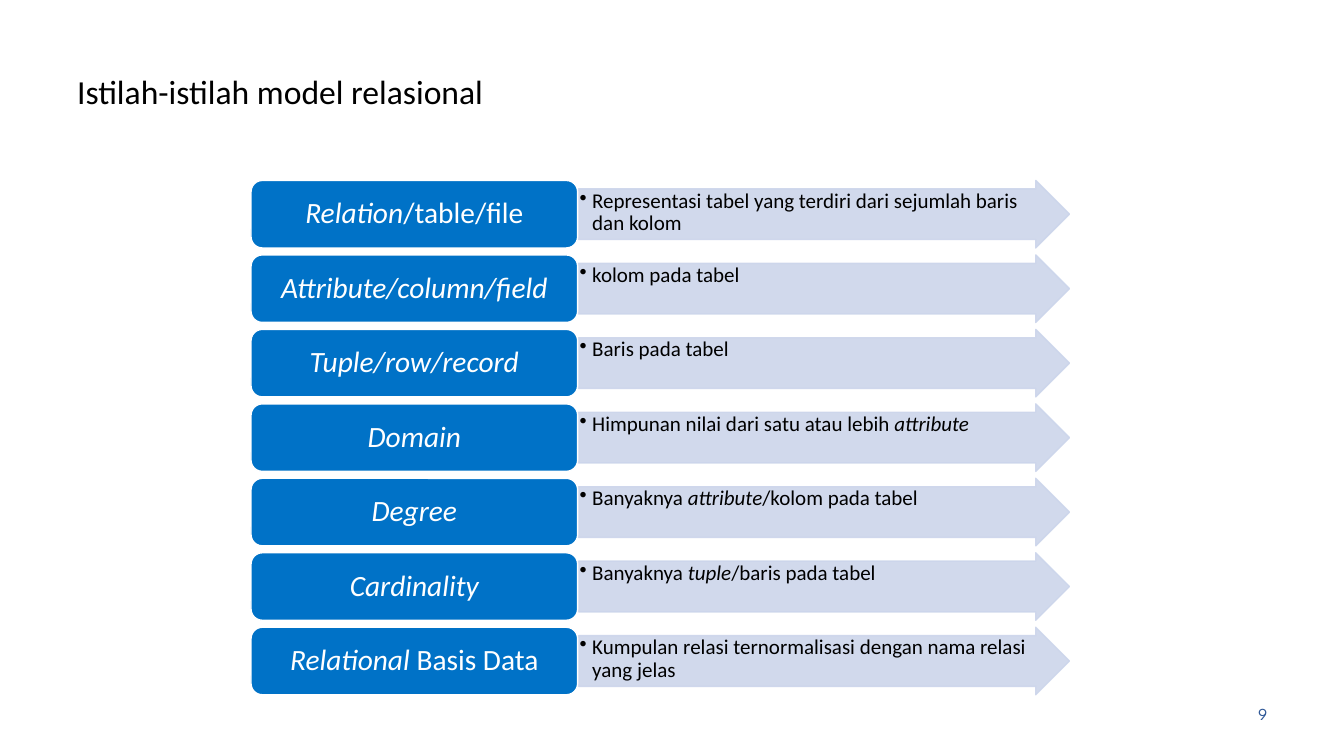
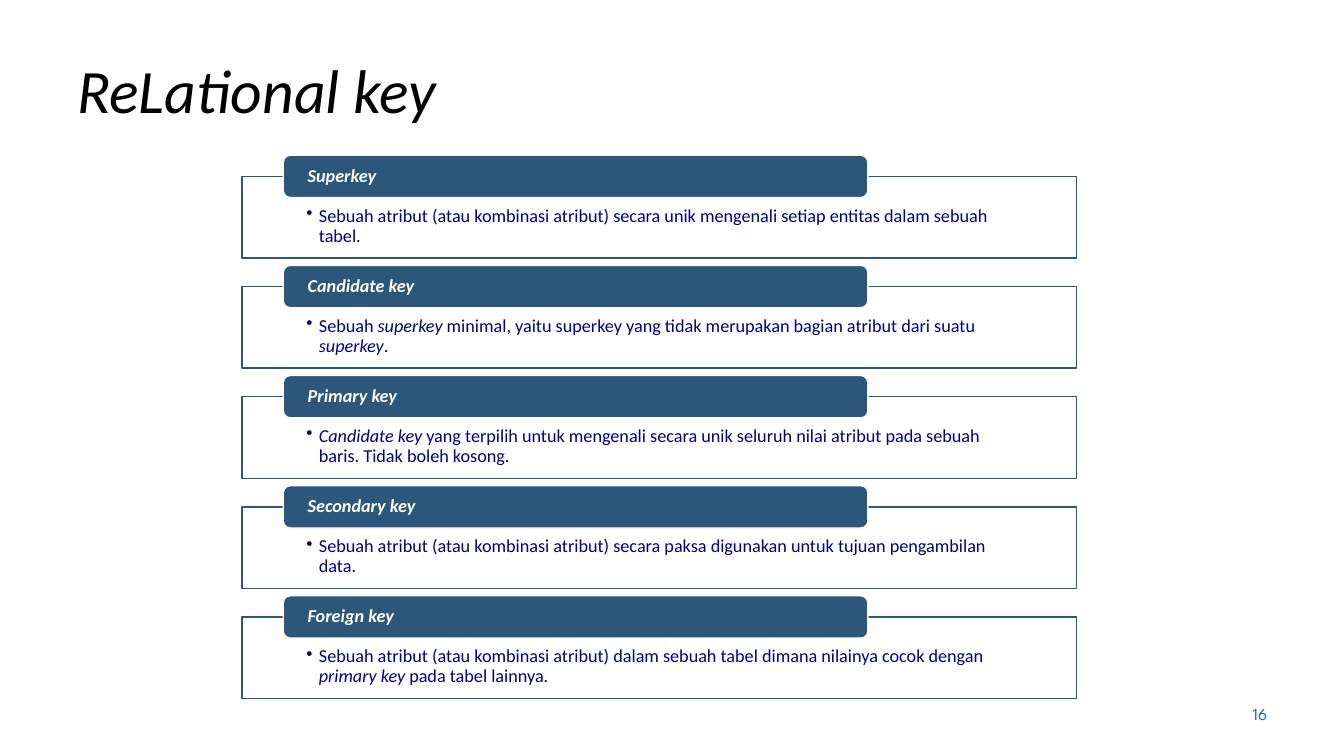
from pptx import Presentation
from pptx.dml.color import RGBColor
from pptx.enum.shapes import MSO_SHAPE as Shape
from pptx.enum.text import MSO_ANCHOR as Anchor, PP_ALIGN as Align
from pptx.oxml.ns import qn
from pptx.oxml.xmlchemy import OxmlElement
from pptx.util import Inches, Pt

BLACK = RGBColor(0x00, 0x00, 0x00)
WHITE = RGBColor(0xFF, 0xFF, 0xFF)
BLUE = RGBColor(0x00, 0x72, 0xC7)
PALE_BLUE = RGBColor(0xCC, 0xD5, 0xEB)
STEEL = RGBColor(0x2C, 0x56, 0x7A)
NAVY = RGBColor(0x00, 0x00, 0x80)
NUMBER_BLUE = RGBColor(0x2F, 0x58, 0x97)

BODY_FONT = "Calibri"
NUMBER_FONT = "League Spartan"
TITLE_AT = (5, 4, 90, 16.67)
NUMBER_AT = (71.7, 91.07, 23.33, 6.93)
BULLET_INDENT = Pt(9)

# Asterisks enclose italic words.
TERMS = [
    ("*Relation*/table/file",
     "Representasi tabel yang terdiri dari sejumlah baris dan kolom"),
    ("*Attribute/column/field*", "kolom pada tabel"),
    ("*Tuple/row/record*", "Baris pada tabel"),
    ("*Domain*", "Himpunan nilai dari satu atau lebih *attribute*"),
    ("*Degree*", "Banyaknya *attribute*/kolom pada tabel"),
    ("*Cardinality*", "Banyaknya *tuple*/baris pada tabel"),
    ("*Relational *Basis Data",
     "Kumpulan relasi ternormalisasi dengan nama relasi yang jelas"),
]
KEYS = [
    ("*Superkey*",
     "Sebuah atribut (atau kombinasi atribut) secara unik mengenali setiap "
     "entitas dalam sebuah tabel."),
    ("*Candidate key*",
     "Sebuah *superkey* minimal, yaitu superkey yang tidak merupakan bagian "
     "atribut dari suatu *superkey*."),
    ("*Primary key*",
     "*Candidate key* yang terpilih untuk mengenali secara unik seluruh nilai "
     "atribut pada sebuah baris. Tidak boleh kosong."),
    ("*Secondary key*",
     "Sebuah atribut (atau kombinasi atribut) secara paksa digunakan untuk "
     "tujuan pengambilan data."),
    ("*Foreign key*",
     "Sebuah atribut (atau kombinasi atribut) dalam sebuah tabel dimana "
     "nilainya cocok dengan *primary key *pada tabel lainnya."),
]


class Deck:
    """Shared style and current slide; places are percentages of the slide."""

    def __init__(self):
        self.prs = Presentation()
        self.prs.slide_width, self.prs.slide_height = Inches(13.33), Inches(7.5)
        self.s = None

    def slide(self, title, size, number):
        self.s = self.prs.slides.add_slide(self.prs.slide_layouts[6])
        self.label(TITLE_AT, title, size, BLACK)
        self.label(NUMBER_AT, number, 12, NUMBER_BLUE,
                   font=NUMBER_FONT, align=Align.RIGHT)

    def place(self, at):
        w, h = self.prs.slide_width, self.prs.slide_height
        return [int(total * share / 100) for total, share in zip((w, h, w, h), at)]

    def label(self, at, text, size, color, **style):
        sp = self.s.shapes.add_textbox(*self.place(at))
        self.set_text(sp, text, size, color, **style)

    def shape(self, kind, at, fill, line):
        sp = self.s.shapes.add_shape(kind, *self.place(at))
        sp.shadow.inherit = False
        sp.fill.solid()
        sp.fill.fore_color.rgb = fill
        sp.line.color.rgb = line
        sp.line.width = Pt(1)
        return sp

    def arrow(self, at):
        sp = self.shape(Shape.RIGHT_ARROW, at, PALE_BLUE, PALE_BLUE)
        sp.adjustments[0], sp.adjustments[1] = 0.75, 0.5
        for color in sp._element.spPr.iter(qn("a:srgbClr")):
            alpha = OxmlElement("a:alpha")
            alpha.set("val", "90000")
            color.append(alpha)
        return sp

    def set_text(self, sp, text, size, color, font=BODY_FONT, bold=False,
                 align=Align.LEFT, anchor=Anchor.MIDDLE, insets=None, bullet=False):
        """Fill a shape with one paragraph; insets are points from the left."""
        tf = sp.text_frame
        tf.word_wrap = True
        tf.vertical_anchor = anchor
        if insets:
            (tf.margin_left, tf.margin_top,
             tf.margin_right, tf.margin_bottom) = map(Pt, insets)
        p = tf.paragraphs[0]
        p.alignment = align
        p.line_spacing = 0.9
        if bullet:
            pPr = p._p.get_or_add_pPr()
            pPr.set("marL", str(BULLET_INDENT))
            pPr.set("indent", str(-BULLET_INDENT))
            mark = OxmlElement("a:buChar")
            mark.set("char", "•")
            pPr.append(mark)
        for i, part in enumerate(text.split("*")):
            if part:
                r = p.add_run()
                r.text = part
                r.font.name, r.font.size = font, Pt(size)
                r.font.bold, r.font.italic = bold, i % 2 == 1
                r.font.color.rgb = color

    def term(self, top, name, meaning):
        sp = self.arrow((43.05, top, 36.53, 8.93))
        self.set_text(sp, meaning, 15, BLACK, anchor=Anchor.TOP,
                      insets=(0.75,) * 4, bullet=True)
        sp = self.shape(Shape.ROUNDED_RECTANGLE, (18.68, top, 24.3, 8.93),
                        BLUE, WHITE)
        self.set_text(sp, name, 21, WHITE, align=Align.CENTER, insets=(6, 3, 6, 3))

    def key(self, top, name, meaning):
        sp = self.shape(Shape.RECTANGLE, (18, top, 62.1, 10.8), WHITE, STEEL)
        self.set_text(sp, meaning, 13, NAVY, anchor=Anchor.TOP,
                      insets=(46, 21.6, 46, 7.2), bullet=True)
        sp = self.shape(Shape.ROUNDED_RECTANGLE, (21.08, top - 2.8, 43.5, 5.6),
                        STEEL, WHITE)
        self.set_text(sp, name, 13, WHITE, bold=True, insets=(16, 0, 16, 0))


def main():
    deck = Deck()
    deck.slide("Istilah-istilah model relasional", 24, "9")
    for row, (name, meaning) in enumerate(TERMS):
        deck.term(23.87 + 9.85 * row, name, meaning)
    deck.slide("*ReLational key*", 44, "16")
    for row, (name, meaning) in enumerate(KEYS):
        deck.key(23.33 + 14.57 * row, name, meaning)
    deck.prs.save("out.pptx")


if __name__ == "__main__":
    main()
